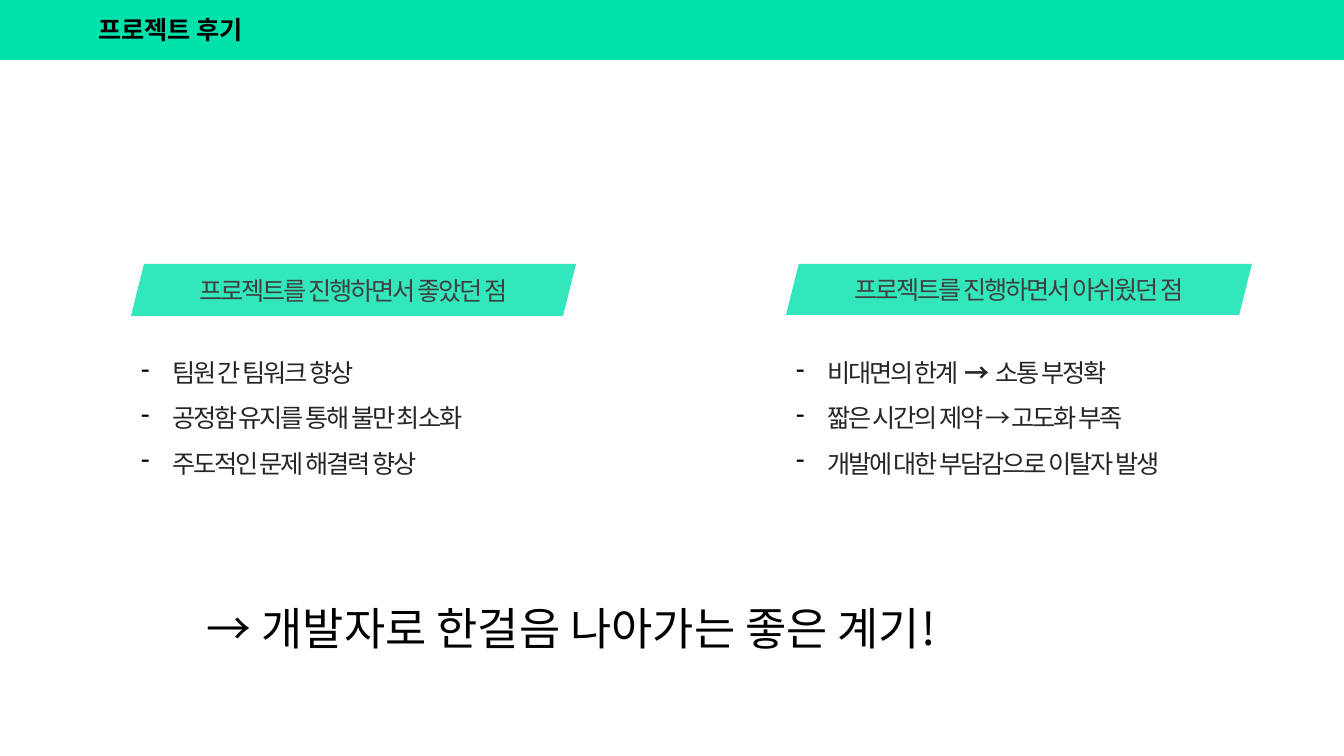
from dataclasses import dataclass

from lxml import etree
from pptx import Presentation, util as u
from pptx.dml.color import RGBColor
from pptx.enum import shapes, text
from pptx.oxml.ns import qn


@dataclass(frozen=True)
class Theme:
    """Colours, type sizes and spacing of the deck."""
    font: str = "Noto Sans CJK KR"
    mint: str = "00E2AC"
    black: str = "000000"
    heading: str = "404040"
    body: str = "262626"
    text_size: int = 18
    closing_size: int = 32
    tight: int = -150
    heading_alpha: int = 80000


THEME = Theme()
GOOD = ["팀원 간 팀워크 향상", "공정함 유지를 통해 불만 최소화", "주도적인 문제 해결력 향상"]
REGRETS = [("비대면의 한계", " → ", "소통 부정확"),
           "짧은 시간의 제약 → 고도화 부족", "개발에 대한 부담감으로 이탈자 발생"]


def px(length):
    """Turn px into EMU."""
    return u.Emu(round(length * 914400 / 100.8))


def place(part, left, top, width, height):
    """Move a part to its box."""
    part.left, part.top, part.width, part.height = map(px, (left, top, width, height))


def style(run, color, size=THEME.text_size, bold=False, spacing=0):
    """Format one run."""
    run.font.name = THEME.font
    run.font.size = u.Pt(size)
    run.font.bold = bold
    run.font.color.rgb = RGBColor.from_string(color)
    properties = run.font._element
    properties.set("spc", str(spacing))
    east_asian = etree.Element(qn("a:ea"), typeface=THEME.font)
    properties.find(qn("a:latin")).addnext(east_asian)


def add_panel(slide, preset, left, top, width, height):
    """Add a flat mint shape without a line."""
    panel = slide.shapes.add_shape(preset, *map(px, (left, top, width, height)))
    panel.shadow.inherit = False
    panel.fill.solid()
    panel.fill.fore_color.rgb = RGBColor.from_string(THEME.mint)
    panel.line.fill.background()
    return panel


def add_header(slide, width, height):
    """Draw the top band with the slide title on it."""
    add_panel(slide, shapes.MSO_SHAPE.RECTANGLE, 0, 0, width, height)
    title = slide.shapes.title
    slide.shapes._spTree.append(title._element)
    place(title, 60, 9, 221, 40)
    frame = title.text_frame
    frame.text = "프로젝트 후기"
    frame.auto_size = text.MSO_AUTO_SIZE.NONE
    frame.paragraphs[0].alignment = text.PP_ALIGN.CENTER
    style(frame.paragraphs[0].runs[0], THEME.black, bold=True)


def add_heading(slide, wording, left, top, width, height):
    """Draw a slanted, translucent heading."""
    heading = add_panel(slide, shapes.MSO_SHAPE.PARALLELOGRAM, left, top, width, height)
    mint = heading.fill._xPr.find(qn("a:solidFill"))[0]
    etree.SubElement(mint, qn("a:alpha"), val=str(THEME.heading_alpha))
    frame = heading.text_frame
    frame.text = wording
    frame.word_wrap = False
    frame.vertical_anchor = text.MSO_ANCHOR.MIDDLE
    frame.paragraphs[0].alignment = text.PP_ALIGN.CENTER
    style(frame.paragraphs[0].runs[0], THEME.heading, spacing=THEME.tight)


def add_dash(paragraph):
    """Give a paragraph a hanging black dash."""
    properties = paragraph._p.get_or_add_pPr()
    properties.set("marL", str(px(31)))
    properties.set("indent", str(-px(31)))
    color = etree.SubElement(properties, qn("a:buClr"))
    etree.SubElement(color, qn("a:srgbClr"), val=THEME.black)
    etree.SubElement(properties, qn("a:buFontTx"))
    etree.SubElement(properties, qn("a:buChar"), char="-")


def fill_list(placeholder, items, left, top, width, height):
    """Fill a body placeholder with dashed points."""
    place(placeholder, left, top, width, height)
    frame = placeholder.text_frame
    frame.auto_size = text.MSO_AUTO_SIZE.NONE
    for index, item in enumerate(items):
        paragraph = frame.paragraphs[0] if index == 0 else frame.add_paragraph()
        add_dash(paragraph)
        paragraph.line_spacing = 1.5
        paragraph.space_before = u.Pt(0)
        for wording in [item] if isinstance(item, str) else item:
            run = paragraph.add_run()
            run.text = wording
            arrow = wording.strip() == "→"
            style(run, THEME.body, bold=arrow, spacing=0 if arrow else THEME.tight)


def add_review(slide, placeholder, wording, items, left, top, width, height):
    """Place one review column: heading above its list."""
    add_heading(slide, wording, left, top, width, height)
    fill_list(placeholder, items, left, top + 73, width, 142)


def add_closing(slide, left, top, width, height):
    """Place the closing statement."""
    closing = slide.shapes.add_textbox(*map(px, (left, top, width, height)))
    frame = closing.text_frame
    frame.word_wrap = True
    frame.text = "→ 개발자로 한걸음 나아가는 좋은 계기!"
    style(frame.paragraphs[0].runs[0], THEME.black, THEME.closing_size)


def main():
    """Build the project review slide."""
    deck = Presentation()
    deck.slide_width, deck.slide_height = px(1344), px(756)
    slide = deck.slides.add_slide(deck.slide_layouts[3])
    good_list, regret_list = list(slide.placeholders)[1:]
    add_header(slide, 1344, 60)
    add_review(slide, good_list, "프로젝트를 진행하면서 좋았던 점", GOOD, 131, 264, 445, 52)
    add_review(slide, regret_list, "프로젝트를 진행하면서 아쉬웠던 점", REGRETS, 786, 264, 466, 51)
    add_closing(slide, 197, 596, 1054, 65)
    deck.save("out.pptx")


if __name__ == "__main__":
    main()
